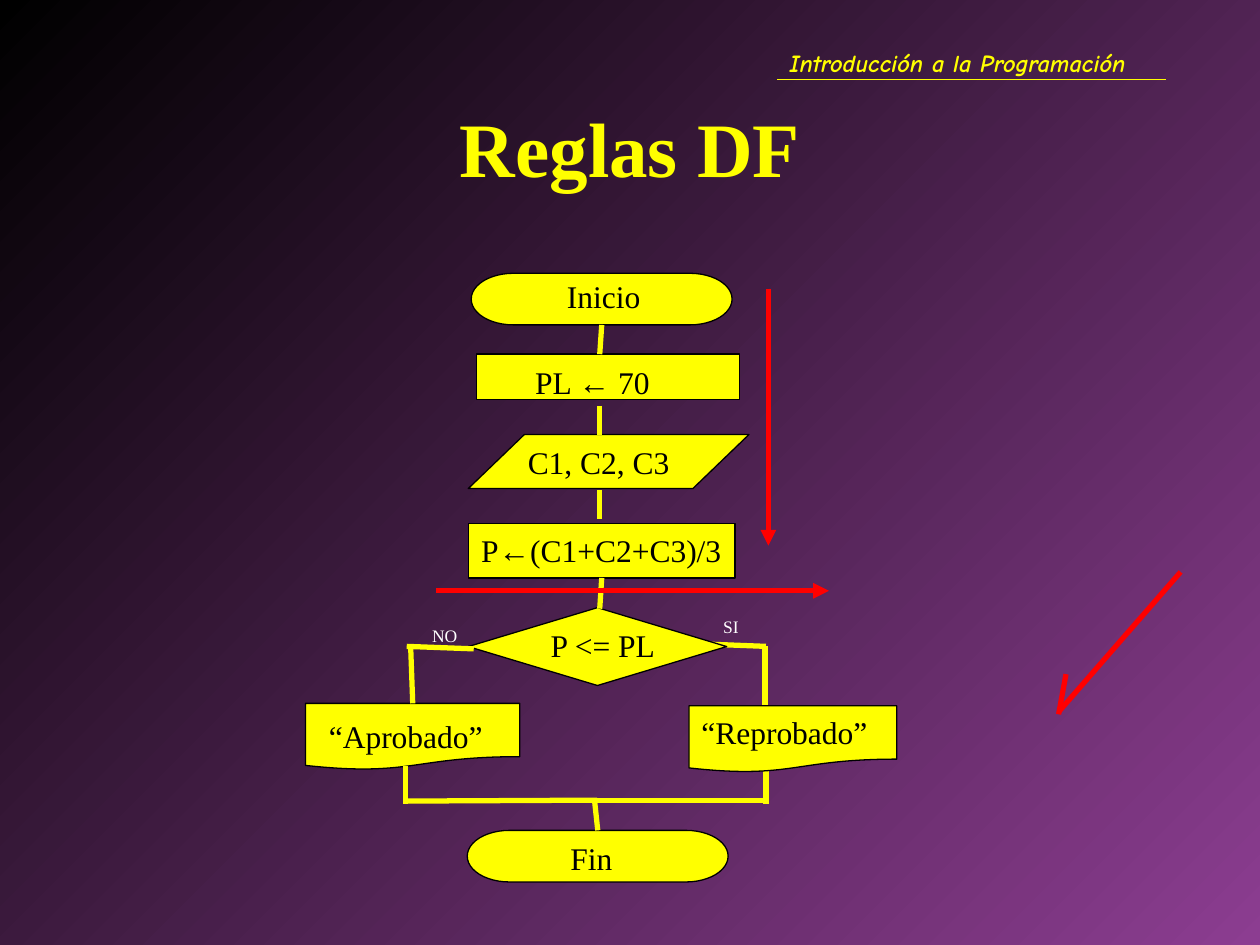
from lxml.etree import SubElement
from pptx import Presentation
from pptx.dml.color import RGBColor
from pptx.enum.shapes import MSO_CONNECTOR, MSO_SHAPE
from pptx.enum.text import MSO_ANCHOR, MSO_AUTO_SIZE, PP_ALIGN
from pptx.oxml.ns import qn
from pptx.util import Cm, Pt

YELLOW = RGBColor(0xFF, 0xFF, 0x00)
RED = RGBColor(0xFF, 0x00, 0x00)
BLACK = RGBColor(0x00, 0x00, 0x00)
WHITE = RGBColor(0xFF, 0xFF, 0xFF)
PURPLE = RGBColor(0x8C, 0x3D, 0x91)
SERIF = "Times New Roman"

deck = Presentation()
deck.slide_width, deck.slide_height = Cm(25.4), Cm(19.05)
slide = deck.slides.add_slide(deck.slide_layouts[5])

backdrop = slide.background.fill
backdrop.gradient()
backdrop.gradient_angle = 315
for stop, color in zip(backdrop.gradient_stops, (BLACK, PURPLE)):
    stop.color.rgb = color


def add_label(text, left, top, width, height, size, color, font=SERIF):
    box = slide.shapes.add_textbox(Cm(left), Cm(top), Cm(width), Cm(height))
    frame = box.text_frame
    frame.word_wrap = True
    frame.auto_size = MSO_AUTO_SIZE.SHAPE_TO_FIT_TEXT
    before, arrow, after = text.partition("←")
    for part in filter(None, (before, arrow, after)):
        run = frame.paragraphs[0].add_run()
        run.text = part
        run.font.name = "Arial" if part == "←" else font
        run.font.size = Pt(size)
        run.font.color.rgb = color
    return box


def add_line(x1, y1, x2, y2, color=YELLOW, width=3, arrow=False):
    line = slide.shapes.add_connector(
        MSO_CONNECTOR.STRAIGHT, Cm(x1), Cm(y1), Cm(x2), Cm(y2))
    line.line.color.rgb = color
    line.line.width = Pt(width)
    if arrow:
        SubElement(line.line._get_or_add_ln(), qn("a:tailEnd"), type="triangle")
    SubElement(line._element.spPr, qn("a:effectLst"))
    return line


course = add_label("Introducción a la Programación", 15.67, 0.84, 8.26, 0.86,
                   14, YELLOW, "Comic Neue")
course_font = course.text_frame.paragraphs[0].runs[0].font
course_font.bold = course_font.italic = True
add_line(15.67, 1.6, 23.5, 1.6, width=0.75)

title = slide.shapes.title
title.left, title.top, title.width, title.height = Cm(1.9), Cm(1.7), Cm(21.6), Cm(2.51)
title.text_frame.text = "Reglas DF"
title.text_frame.vertical_anchor = MSO_ANCHOR.MIDDLE
heading = title.text_frame.paragraphs[0]
heading.alignment = PP_ALIGN.CENTER
heading_font = heading.runs[0].font
heading_font.name = SERIF
heading_font.size = Pt(44)
heading_font.bold = True
heading_font.color.rgb = YELLOW

for yes_branch in (
    (15.42, 13.03, 15.42, 14.22),
    (14.15, 12.98, 15.44, 13.03),
    (15.44, 15.49, 15.44, 16.21),
):
    add_line(*yes_branch)

steps = {}
for name, kind, left, top, width, height in (
    ("Inicio", MSO_SHAPE.FLOWCHART_TERMINATOR, 9.5, 5.51, 5.26, 1.04),
    ("PL ← 70", MSO_SHAPE.RECTANGLE, 9.6, 7.14, 5.31, 0.91),
    ("C1, C2, C3", MSO_SHAPE.FLOWCHART_DATA, 9.44, 8.76, 5.66, 1.09),
    ("P←(C1+C2+C3)/3", MSO_SHAPE.FLOWCHART_PROCESS, 9.44, 10.56, 5.38, 1.09),
    ("P <= PL", MSO_SHAPE.FLOWCHART_DECISION, 9.44, 12.25, 5.21, 1.57),
    ("“Aprobado”", MSO_SHAPE.FLOWCHART_DOCUMENT, 6.16, 14.18, 4.32, 1.34),
    ("“Reprobado”", MSO_SHAPE.FLOWCHART_DOCUMENT, 13.89, 14.23, 4.19, 1.34),
    ("Fin", MSO_SHAPE.FLOWCHART_TERMINATOR, 9.42, 16.74, 5.26, 1.04),
):
    step = slide.shapes.add_shape(kind, Cm(left), Cm(top), Cm(width), Cm(height))
    step.shadow.inherit = False
    step.fill.solid()
    step.fill.fore_color.rgb = YELLOW
    step.line.color.rgb = BLACK
    step.line.width = Pt(0.75)
    steps[name] = step

for name, left, top, width in (
    ("Inicio", 11.18, 5.46, 3.23),
    ("PL ← 70", 10.54, 7.19, 3.68),
    ("C1, C2, C3", 10.39, 8.81, 3.68),
    ("P←(C1+C2+C3)/3", 9.45, 10.59, 5.38),
    ("P <= PL", 10.85, 12.5, 3.68),
    ("“Aprobado”", 6.38, 14.33, 3.86),
    ("“Reprobado”", 13.89, 14.25, 4.09),
    ("Fin", 11.25, 16.79, 3.23),
):
    add_label(name, left, top, width, 1.02, 18, BLACK)

from_start = add_line(12.09, 6.55, 12.09, 7.14)
from_start.begin_connect(steps["Inicio"], 2)
add_line(12.09, 8.18, 12.09, 8.76)
add_line(12.09, 9.88, 12.09, 10.46)
from_average = add_line(12.09, 11.65, 12.09, 12.27)
from_average.begin_connect(steps["P←(C1+C2+C3)/3"], 2)
to_end = add_line(11.99, 16.18, 11.99, 16.74)
to_end.end_connect(steps["Fin"], 0)
to_passed = add_line(8.28, 13.08, 8.28, 14.18)
to_passed.end_connect(steps["“Aprobado”"], 0)

for no_branch in (
    (8.2, 13.03, 9.55, 13.08),
    (8.13, 16.15, 12.04, 16.13),
    (8.18, 15.44, 8.18, 16.21),
    (11.71, 16.13, 15.44, 16.13),
):
    add_line(*no_branch)

add_label("NO", 8.46, 12.47, 1.19, 0.69, 10, WHITE)
add_label("SI", 14.33, 12.29, 1.19, 0.69, 10, WHITE)

add_line(21.34, 14.35, 23.8, 11.53, RED)
add_line(21.49, 13.59, 21.34, 14.4, RED)
add_line(8.79, 11.91, 16.71, 11.91, RED, arrow=True)
add_line(15.49, 5.82, 15.49, 11, RED, arrow=True)

deck.save("out.pptx")
